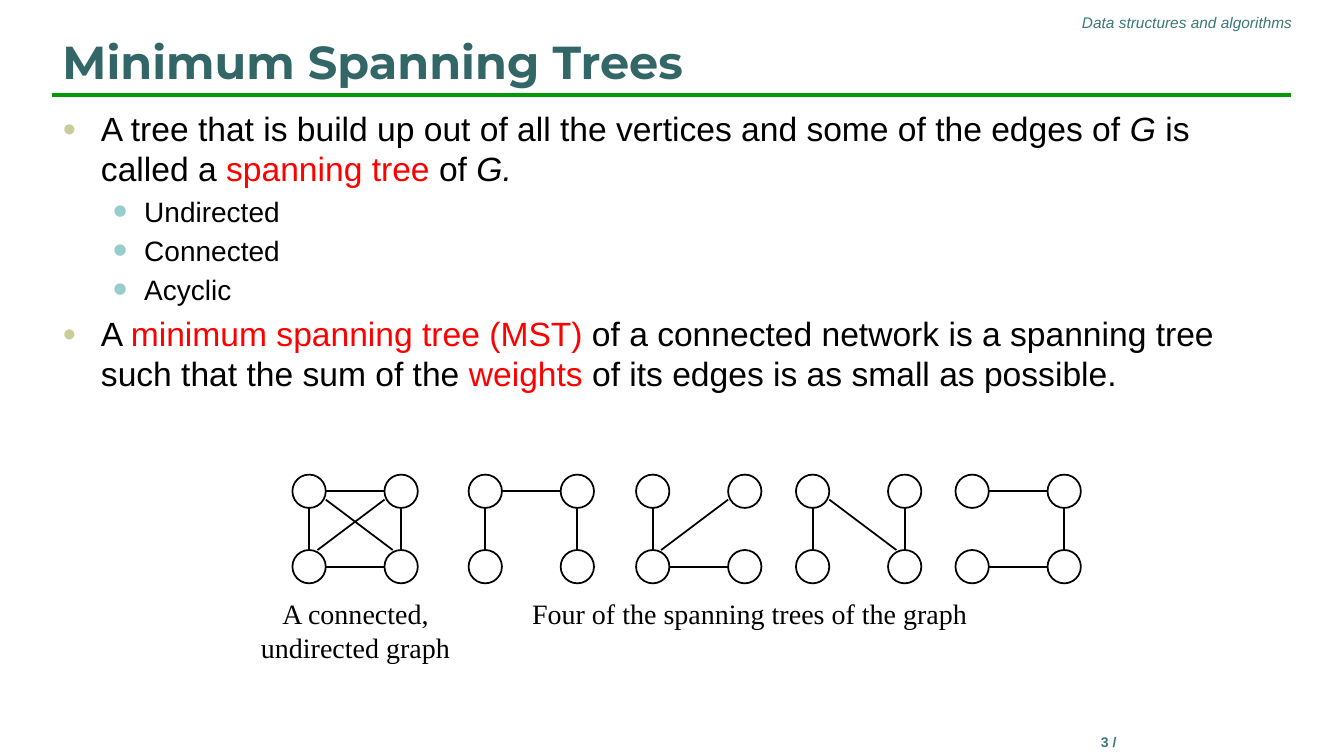
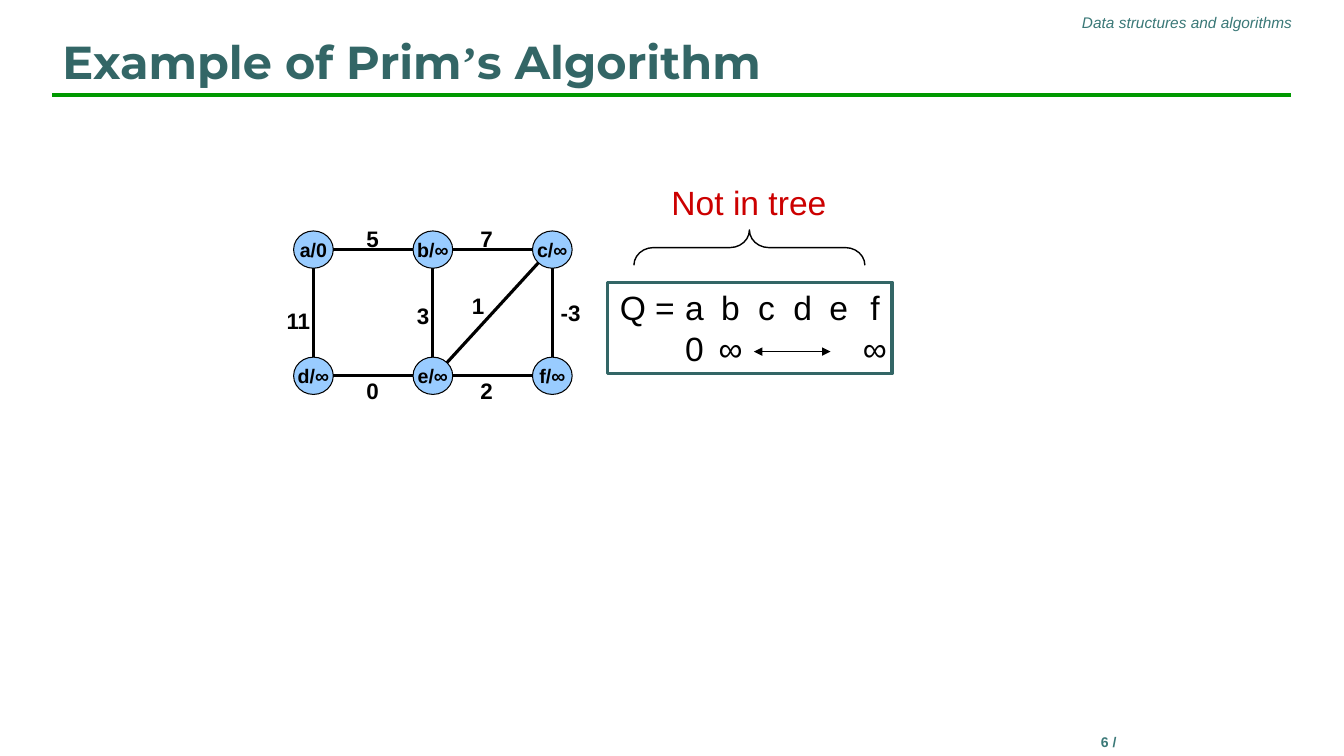
"""Build two slides on minimum spanning trees."""
from dataclasses import dataclass

from lxml import etree
from pptx import Presentation
from pptx.dml.color import RGBColor
from pptx.enum.shapes import MSO_CONNECTOR, MSO_SHAPE
from pptx.enum.text import MSO_ANCHOR, MSO_AUTO_SIZE, PP_ALIGN
from pptx.oxml.ns import qn
from pptx.util import Cm, Pt

LEFT, CENTER, RIGHT = PP_ALIGN.LEFT, PP_ALIGN.CENTER, PP_ALIGN.RIGHT
TOP, MIDDLE, BOTTOM = MSO_ANCHOR.TOP, MSO_ANCHOR.MIDDLE, MSO_ANCHOR.BOTTOM
NO_AUTOFIT = MSO_AUTO_SIZE.NONE
STRAIGHT = MSO_CONNECTOR.STRAIGHT
OVAL, RECTANGLE, BRACE = MSO_SHAPE.OVAL, MSO_SHAPE.RECTANGLE, MSO_SHAPE.LEFT_BRACE
TITLE_AND_CONTENT, TITLE_ONLY = 1, 5


@dataclass(frozen=True)
class Theme:
    """Colours, fonts and type sizes used on every slide."""
    title: str = "336666"
    header: str = "3A7877"
    rule: str = "009900"
    ink: str = "000000"
    accent: str = "FF0000"
    note: str = "CC0000"
    node: str = "99CCFF"
    bullets: tuple = ("CCCC99", "97CDCC")
    sans: str = "Arial"
    display: str = "Montserrat"
    serif: str = "Times New Roman"
    title_size: int = 33
    body_size: int = 24
    sub_size: int = 20
    weight_size: int = 16
    node_size: int = 14
    header_size: int = 11
    page_size: int = 10


@dataclass(frozen=True)
class GraphStyle:
    """Grid pitch, node radii, line widths and diagonal end points of a graph."""
    pitch: tuple
    radii: tuple
    outline: float
    edge: float
    upper_end: tuple
    lower_end: tuple
    fill: str = None
    labelled: bool = False


THEME = Theme()
SMALL_GRAPH = GraphStyle((2.32, 1.9), (0.42, 0.42), 1.25, 1.25, (1, 0.5), (0.5, 1))
PRIM_GRAPH = GraphStyle((3.01, 3.18), (0.5, 0.47), 0.75, 2.25,
                        (0.7, 0.7), (0.7, 0.7), THEME.node, True)
ACCENT = {"color": THEME.accent}
ITALIC = {"italic": True}

DEFINITIONS = [
    (0, [("A tree that is build up out of all the vertices and some of the edges of ", {}),
         ("G", ITALIC), (" is called a ", {}), ("spanning tree", ACCENT),
         (" of ", {}), ("G.", ITALIC)]),
    (1, [("Undirected", {})]),
    (1, [("Connected", {})]),
    (1, [("Acyclic", {})]),
    (0, [("A ", {}), ("minimum spanning tree (MST)", ACCENT),
         (" of a connected network is a spanning tree such that the sum of the ", {}),
         ("weights", ACCENT), (" of its edges is as small as possible.", {})]),
]
SQUARE = ("ab", "cd")
SPANNING_EXAMPLES = [
    (7.79, "ab ac bd cd ad bc"),
    (12.23, "ab ac bd"),
    (16.45, "ac cd bc"),
    (20.48, "ac bd ad"),
    (24.5, "ab bd cd"),
]
WEIGHTS = [
    ("5", 9.39, 6.03), ("7", 12.26, 6.03), ("11", 7.52, 8.09), ("3", 10.66, 7.96),
    ("1", 12.05, 7.71), ("-3", 14.38, 7.89), ("0", 9.39, 9.84), ("2", 12.26, 9.84),
]


def add_runs(paragraph, runs, **base):
    """Add (text, overrides) runs on top of a base style."""
    for text, overrides in runs:
        look = {"font": THEME.sans, "color": THEME.ink, "bold": False,
                "italic": False, **base, **overrides}
        run = paragraph.add_run()
        run.text = text
        run.font.name = look["font"]
        run.font.size = Pt(look["size"])
        run.font.bold = look["bold"]
        run.font.italic = look["italic"]
        run.font.color.rgb = RGBColor.from_string(look["color"])


def place(shape, left, top, width, height):
    """Move and size a shape in centimetres."""
    shape.left, shape.top, shape.width, shape.height = map(Cm, (left, top, width, height))


def add_label(slide, box, lines, align=CENTER, **look):
    """Add a text box whose lines share one paragraph."""
    frame = slide.shapes.add_textbox(*map(Cm, box)).text_frame
    frame.word_wrap = True
    paragraph = frame.paragraphs[0]
    paragraph.alignment = align
    for index, line in enumerate(lines):
        if index:
            paragraph.add_line_break()
        add_runs(paragraph, [(line, {})], **look)


def add_outline(slide, kind, box, width, color=THEME.ink, fill=None):
    """Add a preset shape with an outline and an optional fill."""
    shape = slide.shapes.add_shape(kind, *map(Cm, box))
    shape.shadow.inherit = False
    if fill:
        shape.fill.solid()
        shape.fill.fore_color.rgb = RGBColor.from_string(fill)
    else:
        shape.fill.background()
    shape.line.color.rgb = RGBColor.from_string(color)
    shape.line.width = Pt(width)
    return shape


def add_line(slide, start, end, width, color=THEME.ink, arrows=False):
    """Add a straight line, with arrowheads at both ends if asked."""
    line = slide.shapes.add_connector(STRAIGHT, *map(Cm, (*start, *end)))
    line.line.color.rgb = RGBColor.from_string(color)
    line.line.width = Pt(width)
    properties = line.element.spPr
    if arrows:
        for tag in ("a:headEnd", "a:tailEnd"):
            etree.SubElement(properties.find(qn("a:ln")), qn(tag), type="triangle")
    etree.SubElement(properties, qn("a:effectLst"))


def edge_end(node, other, style):
    """Return the point where the edge from node to other leaves node."""
    dx, dy = ((b > a) - (b < a) for a, b in zip(node, other))
    share = (1, 1)
    if dx and dy:
        share = style.upper_end if dy > 0 else style.lower_end
    return (node[0] + dx * share[0] * style.radii[0],
            node[1] + dy * share[1] * style.radii[1])


def add_graph(slide, origin, rows, edges, style):
    """Draw a graph on a grid; edges are pairs of node letters."""
    centers = {name: (origin[0] + column * style.pitch[0], origin[1] + row * style.pitch[1])
               for row, names in enumerate(rows) for column, name in enumerate(names)}
    rx, ry = style.radii
    for name, (x, y) in centers.items():
        node = add_outline(slide, OVAL, (x - rx, y - ry, 2 * rx, 2 * ry),
                           style.outline, fill=style.fill)
        if style.labelled:
            frame = node.text_frame
            frame.word_wrap = False
            frame.margin_left = frame.margin_right = 0
            frame.vertical_anchor = MIDDLE
            frame.paragraphs[0].alignment = CENTER
            key = "0" if name == "a" else "∞"
            add_runs(frame.paragraphs[0], [(f"{name}/{key}", {})],
                     size=THEME.node_size, bold=True)
    for first, second in edges.split():
        a, b = centers[first], centers[second]
        add_line(slide, edge_end(a, b, style), edge_end(b, a, style), style.edge)


def add_slide(deck, layout, title, page):
    """Add a slide with the shared title, rule, header and page number."""
    slide = deck.slides.add_slide(deck.slide_layouts[layout])
    add_line(slide, (1.32, 2.39), (32.54, 2.39), 3, THEME.rule)
    add_label(slide, (14.3, 0.2, 18.52, 0.74), ["Data structures and algorithms"], RIGHT,
              size=THEME.header_size, color=THEME.header, italic=True)
    add_label(slide, (24.13, 18.36, 7.62, 1.27), [f"{page} /"],
              size=THEME.page_size, color=THEME.header, bold=True)
    heading = slide.shapes.title
    place(heading, 1.32, 0.58, 31.22, 1.78)
    frame = heading.text_frame
    frame.auto_size = NO_AUTOFIT
    frame.vertical_anchor = BOTTOM
    frame.paragraphs[0].alignment = LEFT
    add_runs(frame.paragraphs[0], title, font=THEME.display, size=THEME.title_size,
             color=THEME.title, bold=True)
    return slide


def set_bullet(paragraph, level):
    """Give a paragraph the indent and bullet of its level."""
    margin, hang, size, char = ((0.97, 0.97, 70, "●"), (2.06, 0.79, 150, "•"))[level]
    paragraph.level = level
    properties = paragraph._p.get_or_add_pPr()
    properties.set("marL", str(Cm(margin)))
    properties.set("indent", str(-Cm(hang)))
    color = etree.SubElement(properties, qn("a:buClr"))
    etree.SubElement(color, qn("a:srgbClr"), val=THEME.bullets[level])
    etree.SubElement(properties, qn("a:buSzPct"), val=str(size * 1000))
    etree.SubElement(properties, qn("a:buFont"), typeface=THEME.sans)
    etree.SubElement(properties, qn("a:buChar"), char=char)


def fill_body(body, items):
    """Write a two-level bullet list into the body placeholder."""
    place(body, 1.32, 2.59, 31.22, 15.47)
    frame = body.text_frame
    frame.auto_size = NO_AUTOFIT
    for index, (level, runs) in enumerate(items):
        paragraph = frame.add_paragraph() if index else frame.paragraphs[0]
        set_bullet(paragraph, level)
        add_runs(paragraph, runs, size=(THEME.body_size, THEME.sub_size)[level])


def add_queue(slide):
    """Add the queue box, its keys aligned on centred tab stops."""
    frame = add_outline(slide, RECTANGLE, (15.32, 7.11, 7.16, 2.31), 2.25,
                        THEME.title).text_frame
    frame.word_wrap = True
    frame.margin_left, frame.margin_right = Cm(0.3), 0
    frame.vertical_anchor = TOP
    rows = ("Q =\ta\tb\tc\td\te\tf", "\t0\t∞\t\t\t\t∞")
    for index, row in enumerate(rows):
        paragraph = frame.add_paragraph() if index else frame.paragraphs[0]
        paragraph.alignment = LEFT
        stops = etree.SubElement(paragraph._p.get_or_add_pPr(), qn("a:tabLst"))
        for column in range(6):
            etree.SubElement(stops, qn("a:tab"), pos=str(Cm(1.88 + column * 0.91)), algn="ctr")
        add_runs(paragraph, [(row, {})], size=THEME.body_size)
    add_line(slide, (19, 8.86), (20.93, 8.86), 1, arrows=True)


def build_definition(deck):
    """Build the slide that defines spanning trees."""
    slide = add_slide(deck, TITLE_AND_CONTENT, [("Minimum Spanning Trees", {})], 3)
    fill_body(slide.placeholders[1], DEFINITIONS)
    for left, edges in SPANNING_EXAMPLES:
        add_graph(slide, (left, 12.38), SQUARE, edges, SMALL_GRAPH)
    caption = {"font": THEME.serif, "size": THEME.sub_size}
    add_label(slide, (6.1, 14.91, 5.72, 1.96), ["A connected,", "undirected graph"], **caption)
    add_label(slide, (11.81, 14.91, 14.17, 1.09),
              ["Four of the spanning trees of the graph"], **caption)


def build_prim(deck):
    """Build the slide with the start of Prim's algorithm."""
    title = [("Example of Prim", {}), ("’", {"font": THEME.serif}), ("s Algorithm", {})]
    slide = add_slide(deck, TITLE_ONLY, title, 6)
    add_graph(slide, (7.9, 6.29), ("abc", "def"), "ab bc ad be cf de ef ce", PRIM_GRAPH)
    for weight, x, y in WEIGHTS:
        add_label(slide, (x - 0.6, y - 0.47, 1.2, 0.94), [weight],
                  size=THEME.weight_size, bold=True)
    add_queue(slide)
    brace = add_outline(slide, BRACE, (18.44, 3.33, 0.89, 5.82), 1)
    brace.rotation = 90
    brace.adjustments[0] = 0.55
    add_label(slide, (16.64, 4.47, 4.47, 1.27), ["Not in tree"],
              size=THEME.body_size, color=THEME.note)


def main():
    """Build and save the deck."""
    deck = Presentation()
    deck.slide_width, deck.slide_height = Cm(33.87), Cm(19.05)
    build_definition(deck)
    build_prim(deck)
    deck.save("out.pptx")


if __name__ == "__main__":
    main()
